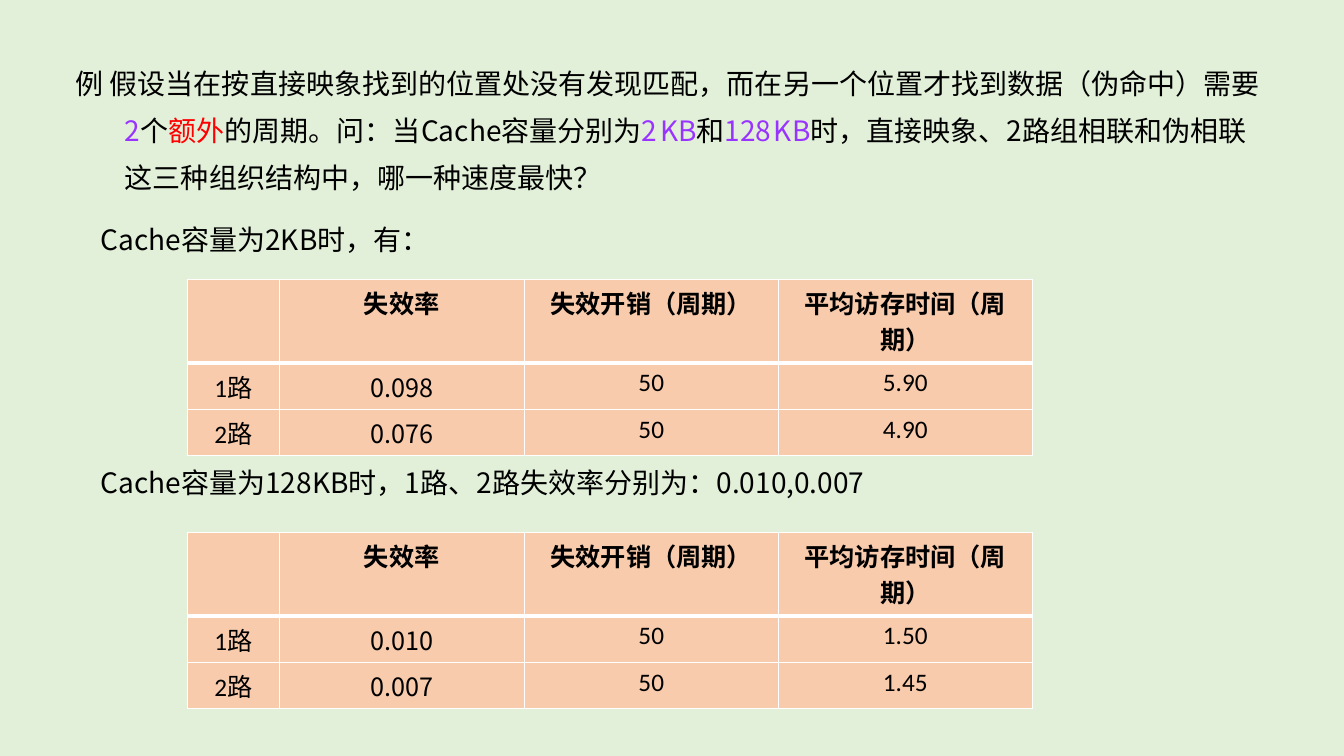
from lxml.etree import SubElement
from pptx import Presentation
from pptx.dml.color import RGBColor
from pptx.enum.text import PP_ALIGN
from pptx.oxml import parse_xml
from pptx.oxml.ns import nsdecls, qn
from pptx.util import Inches, Pt

CJK_FONT = "Noto Sans CJK SC"
BLACK, PURPLE, RED = "000000", "9933FF", "FF0000"
PEACH, GREEN, WHITE = "F8CBAD", "E2F0D9", "FFFFFF"


def color(hex_text):
    return RGBColor.from_string(hex_text)


def add_text(para, text, size=20, font=CJK_FONT, ink=BLACK, bold=False):
    span = para.add_run()
    span.text = text
    span.font.size = Pt(size)
    span.font.name = font
    span.font.bold = bold
    span.font.color.rgb = color(ink)
    SubElement(span.font._element, qn("a:ea"), typeface=CJK_FONT)


deck = Presentation()
deck.slide_width, deck.slide_height = Inches(13.33), Inches(7.5)
page = deck.slides.add_slide(deck.slide_layouts[6])
page.background.fill.solid()
page.background.fill.fore_color.rgb = color(GREEN)

# Question and the two lead-in lines: left, top, width, height, hanging indent, spans
question = [
    ("例 假设当在按直接映象找到的位置处没有发现匹配，而在另一个位置才找到数据（伪命中）需要", BLACK, 20),
    ("2", PURPLE, 20), ("个", BLACK, 20), ("额外", RED, 20),
    ("的周期。问：当Cache容量分别为", BLACK, 20),
    ("2", PURPLE, 20), (" ", PURPLE, 8), ("KB", PURPLE, 20), ("和", BLACK, 20),
    ("128", PURPLE, 20), (" ", PURPLE, 8), ("KB", PURPLE, 20),
    ("时，直接映象、2路组相联和伪相联这三种组织结构中，哪一种速度最快？", BLACK, 20),
]
small_cache = [("Cache容量为2KB时，有：", BLACK, 20)]
large_cache = [("Cache容量为128KB时，1路、2路失效率分别为：0.010,0.007", BLACK, 20)]
passages = [
    (0.65, 0.48, 12.05, 1.5, 0.49, question),
    (0.9, 2.02, 11.8, 0.55, 0, small_cache),
    (0.9, 4.44, 11.8, 0.55, 0, large_cache),
]
for left, top, width, height, hang, spans in passages:
    box = page.shapes.add_textbox(Inches(left), Inches(top), Inches(width), Inches(height))
    box.text_frame.word_wrap = True
    para = box.text_frame.paragraphs[0]
    para.line_spacing = 1.4
    properties = para._p.get_or_add_pPr()
    properties.set("marL", str(Inches(hang)))
    properties.set("indent", str(-Inches(hang)))
    for text, ink, size in spans:
        add_text(para, text, size=size, ink=ink)

# Miss-rate tables, one per cache size; the header holds two lines of text
header = ["", "失效率", "失效开销（周期）", "平均访存时间（周期）"]
column_widths = [0.91, 2.43, 2.52, 2.52]
row_heights = [0.83, 0.46, 0.46]
tables = [
    (2.77, [["1路", "0.098", "50", "5.90"], ["2路", "0.076", "50", "4.90"]]),
    (5.28, [["1路", "0.010", "50", "1.50"], ["2路", "0.007", "50", "1.45"]]),
]
for top, body in tables:
    rows = [header] + body
    table = page.shapes.add_table(
        len(rows), len(header), Inches(1.86), Inches(top),
        Inches(sum(column_widths)), Inches(sum(row_heights))).table
    for column, width in zip(table.columns, column_widths):
        column.width = Inches(width)
    for row_index, values in enumerate(rows):
        table.rows[row_index].height = Inches(row_heights[row_index])
        for column_index, value in enumerate(values):
            cell = table.cell(row_index, column_index)
            cell.fill.solid()
            cell.fill.fore_color.rgb = color(PEACH)
            is_header = row_index == 0
            para = cell.text_frame.paragraphs[0]
            para.alignment = PP_ALIGN.CENTER
            if value:
                is_rate = column_index == 1 and not is_header
                add_text(para, value, size=18, bold=is_header,
                         font=CJK_FONT if is_rate else "Calibri")
            # White borders, heavier under the header
            borders = {"lnL": 1, "lnR": 1, "lnT": 3 if row_index == 1 else 1,
                       "lnB": 3 if is_header else 1}
            for position, (side, points) in enumerate(borders.items()):
                cell._tc.get_or_add_tcPr().insert(position, parse_xml(
                    f'<a:{side} {nsdecls("a")} w="{Pt(points)}"><a:solidFill>'
                    f'<a:srgbClr val="{WHITE}"/></a:solidFill></a:{side}>'))

deck.save("out.pptx")
